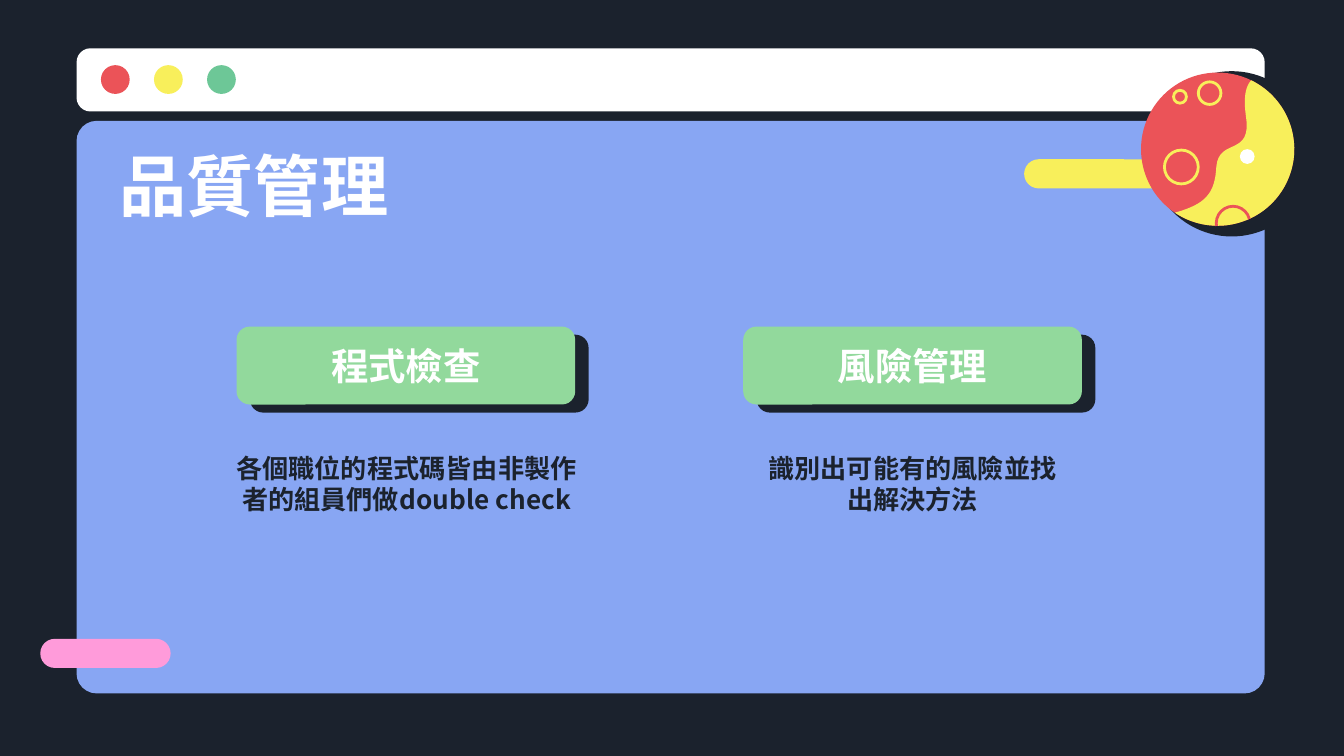
from math import cos, radians, sin

from lxml.etree import SubElement
from pptx import Presentation
from pptx.dml.color import RGBColor
from pptx.enum.shapes import MSO_SHAPE
from pptx.enum.text import MSO_ANCHOR, PP_ALIGN
from pptx.oxml.ns import qn
from pptx.util import Inches, Pt

NAVY, BLUE, WHITE = "1B222D", "88A6F3", "FFFFFF"
RED, YELLOW, GREEN = "EB5358", "F8EF5B", "6DC797"
MINT, PINK = "92D99C", "FF9BDA"


def color(hex_string):
    return RGBColor.from_string(hex_string)


def grid(count):
    """Length of a number of grid columns or rows; the page is 100 by 56.25."""
    return Inches(count / 10)


def arc_points(x, y, radius, start, end, steps=60):
    """Points on a circle, clockwise between two angles in degrees."""
    angles = [radians(start + (end - start) * i / steps) for i in range(steps + 1)]
    return [(x + radius * cos(angle), y + radius * sin(angle)) for angle in angles]


def curve_points(start, *curves, steps=16):
    """Points along joined cubic curves, each given as two controls and an end."""
    points = [start]
    for first, second, end in curves:
        begin = points[-1]
        for i in range(1, steps + 1):
            t = i / steps
            weights = ((1 - t) ** 3, 3 * t * (1 - t) ** 2, 3 * t * t * (1 - t), t ** 3)
            corners = (begin, first, second, end)
            points.append(tuple(
                sum(weight * corner[axis] for weight, corner in zip(weights, corners))
                for axis in (0, 1)))
    return points


class Slide:
    """Style and drawing methods of the current page, in grid units."""

    font = "Noto Sans CJK SC"

    def __init__(self, deck, background):
        self.page = deck.slides.add_slide(deck.slide_layouts[6])
        fill = self.page.background.fill
        fill.solid()
        fill.fore_color.rgb = color(background)

    def paint(self, shape, fill=None, line=None):
        shape.shadow.inherit = False
        if fill:
            shape.fill.solid()
            shape.fill.fore_color.rgb = color(fill)
        else:
            shape.fill.background()
        if line:
            shape.line.color.rgb = color(line)
            shape.line.width = Pt(1.5)
        else:
            shape.line.fill.background()
        return shape

    def preset(self, kind, x, y, width, height, fill=None, line=None):
        shape = self.page.shapes.add_shape(
            kind, grid(x), grid(y), grid(width), grid(height))
        return self.paint(shape, fill, line)

    def rounded(self, x, y, width, height, fill, corner=0.5):
        shape = self.preset(MSO_SHAPE.ROUNDED_RECTANGLE, x, y, width, height, fill)
        shape.adjustments[0] = corner

    def circle(self, x, y, radius, fill=None, line=None, kind=MSO_SHAPE.OVAL):
        """Circle, or other round preset, placed by its centre."""
        return self.preset(kind, x - radius, y - radius, 2 * radius, 2 * radius, fill, line)

    def arc(self, x, y, radius, start, end, line):
        shape = self.circle(x, y, radius, line=line, kind=MSO_SHAPE.ARC)
        for i, angle in enumerate((start, end)):
            shape.adjustments[i] = angle * 0.6  # 60000 units a degree, scaled by 100000

    def outline(self, points, fill):
        points = [(grid(x), grid(y)) for x, y in points]
        builder = self.page.shapes.build_freeform(*points[0])
        builder.add_line_segments(points[1:])
        self.paint(builder.convert_to_shape(), fill)

    def text(self, x, y, width, height, words, size, fill,
             align=PP_ALIGN.CENTER, anchor=MSO_ANCHOR.MIDDLE, spacing=None):
        box = self.page.shapes.add_textbox(grid(x), grid(y), grid(width), grid(height))
        frame = box.text_frame
        frame.word_wrap = True
        frame.vertical_anchor = anchor
        frame.margin_left = frame.margin_right = grid(1)
        frame.margin_top = frame.margin_bottom = grid(1)
        para = frame.paragraphs[0]
        para.text = words
        para.alignment = align
        if spacing:
            para.line_spacing = Pt(spacing)
        para.font.size = Pt(size)
        para.font.bold = True
        para.font.color.rgb = color(fill)
        para.font.name = self.font
        defaults = para._p.pPr.find(qn("a:defRPr"))
        SubElement(defaults, qn("a:ea"), typeface=self.font)

    def window(self):
        self.rounded(5.7, 9, 88.4, 42.6, BLUE, 0.035)
        self.rounded(5.7, 3.6, 88.4, 4.7, WHITE, 0.22)
        for i, fill in enumerate((RED, YELLOW, GREEN)):
            self.circle(8.58 + 3.95 * i, 5.92, 1.07, fill)

    def planet(self, x, y, radius):
        self.circle(91.65, 11.45, 6.15, NAVY)
        self.circle(x, y, radius, RED)
        for ring in ((90, 6.93, 0.84), (87.8, 7.2, 0.48), (87.9, 12.43, 1.26)):
            self.circle(*ring, line=YELLOW)
        limb = arc_points(x, y, radius, -64, 124)
        coast = curve_points(
            limb[-1],
            ((89.7, 15.2), (90.4, 14.4), (90.5, 12.4)),
            ((90.7, 10.2), (93.2, 11.7), (92.7, 8.6)),
            ((92.5, 7.2), (92.7, 6.4), limb[0]))
        self.outline(limb + coast[1:], YELLOW)
        self.arc(91.75, 16.6, 1.25, 170, 346, RED)
        self.circle(92.8, 11.65, 0.55, WHITE)

    def topic(self, x, label, description, text_x, text_width):
        self.rounded(x + 1, 24.9, 25.2, 5.8, NAVY, 0.17)
        self.rounded(x, 24.3, 25.2, 5.8, MINT, 0.17)
        self.text(x + 3.8, 24.3, 17.6, 5.8, label, 20, WHITE)
        self.text(text_x, 32.7, text_width, 6.2, description, 14, NAVY,
                  anchor=MSO_ANCHOR.TOP, spacing=16.6)


def main():
    deck = Presentation()
    deck.slide_width, deck.slide_height = grid(100), grid(56.25)
    slide = Slide(deck, NAVY)
    slide.window()
    slide.rounded(76.2, 11.85, 10.8, 2.17, YELLOW)
    slide.planet(90.6, 11.1, 5.7)
    slide.rounded(3, 47.53, 9.7, 2.17, PINK)
    slide.text(7.9, 10.6, 42.1, 6.2, "品質管理", 36, WHITE, PP_ALIGN.LEFT)
    slide.topic(17.6, "程式檢查", "各個職位的程式碼皆由非製作者的組員們做double check", 16.5, 27.5)
    slide.topic(55.3, "風險管理", "識別出可能有的風險並找出解決方法", 55.3, 25.2)
    deck.save("out.pptx")


if __name__ == "__main__":
    main()
